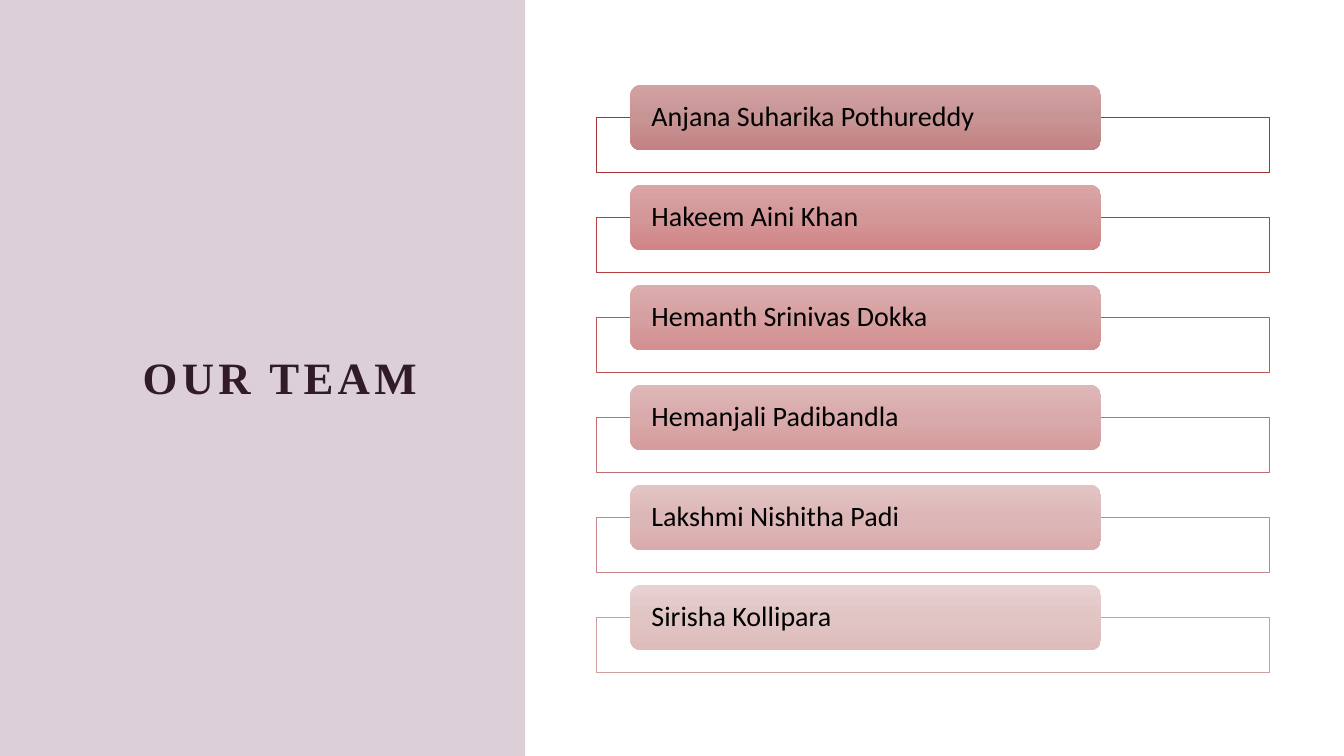
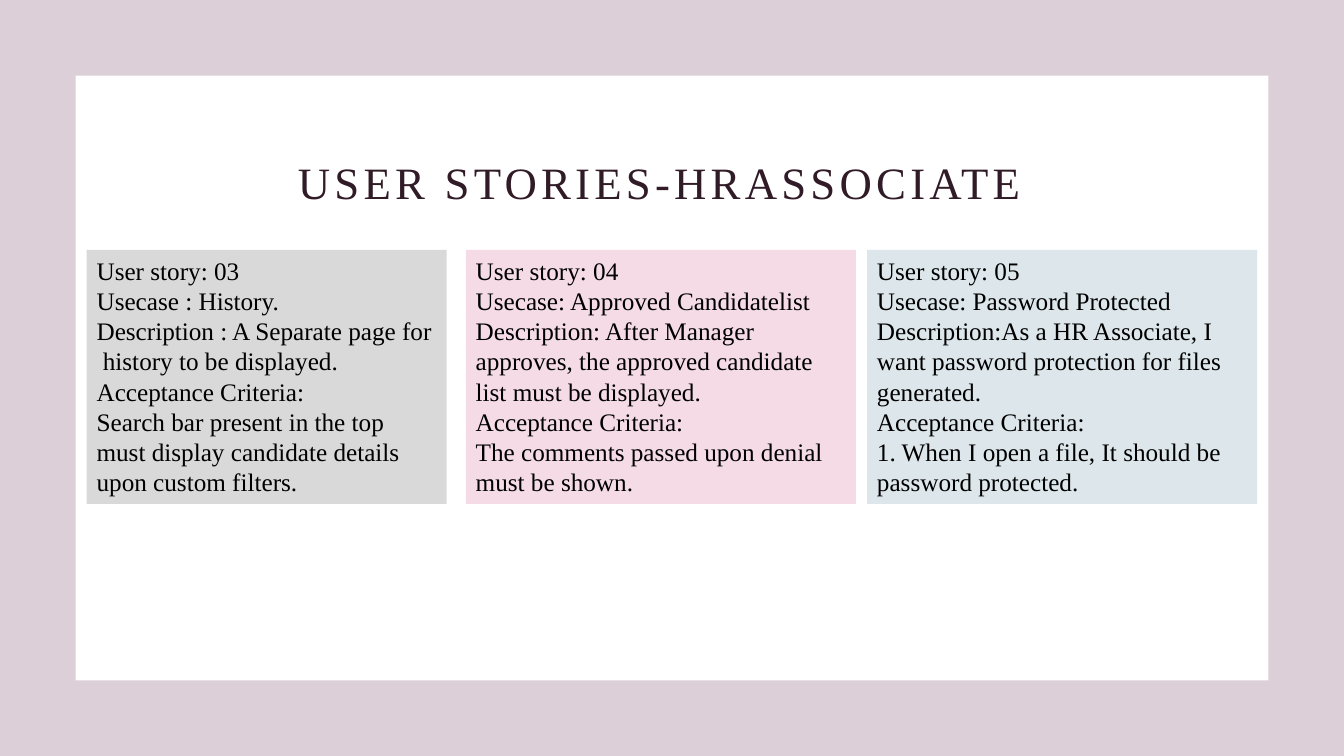
"""Build the team slide and the HR associate user stories slide."""
from copy import deepcopy
from dataclasses import dataclass

from lxml.etree import SubElement
from pptx import Presentation
from pptx.dml.color import RGBColor
from pptx.enum.shapes import MSO_SHAPE
from pptx.enum.text import MSO_ANCHOR, PP_ALIGN
from pptx.oxml.ns import qn
from pptx.util import Inches, Pt

TEAM_TITLE = "OUR TEAM"
TEAM = [
    ("Anjana Suharika Pothureddy", "A33336", ("D2A1A2", "C89595", "C38182")),
    ("Hakeem Aini Khan", "B63E42", ("DAA5A6", "D39798", "D18485")),
    ("Hemanth Srinivas Dokka", "BE5456", ("DCADAE", "D6A0A0", "D38E90")),
    ("Hemanjali Padibandla", "C26D6F", ("DFB7B8", "D9AAAB", "D69C9D")),
    ("Lakshmi Nishitha Padi", "C88587", ("E3C4C4", "DDB7B8", "DAABAC")),
    ("Sirisha Kollipara", "CE9D9D", ("E8D1D1", "E1C5C5", "DFBCBC")),
]
STORIES_TITLE = "USER STORIES-HRASSOCIATE"
STORIES = [
    (0.86, 3.57, "D9D9D9",
     ["User story: 03", "Usecase : History.",
      "Description : A Separate page for  history to be displayed.",
      "Acceptance Criteria:"],
     "Search bar present in the top must display candidate details upon custom filters."),
    (4.62, 3.87, "F4DBE6",
     ["User story: 04", "Usecase: Approved Candidatelist",
      "Description: After Manager approves, the approved candidate list must be displayed.",
      "Acceptance Criteria:"],
     "The comments passed upon denial must be shown."),
    (8.6, 3.87, "DDE7EB",
     ["User story: 05", "Usecase: Password Protected",
      "Description:As a HR Associate, I want password protection for files generated.",
      "Acceptance Criteria:"],
     "1. When I open a file, It should be password protected."),
]


@dataclass(frozen=True)
class Theme:
    width: float = 13.33
    height: float = 7.5
    margin: float = 0.75
    band: str = "764260"
    band_opacity: int = 25
    paper: str = "FFFFFF"
    title: str = "301B27"
    ink: str = "000000"
    serif: str = "Times New Roman"
    sans: str = "Calibri"
    title_size: int = 32
    name_size: int = 20
    story_size: int = 18
    title_tracking: int = 3


THEME = Theme()
FIRST_TOP, LAST_TOP = 0.84, 5.8
STORY_TOP, STORY_HEIGHT = 2.48, 2.52


def rgb(value):
    return RGBColor.from_string(value)


def add_box(slide, box, fill=None, opacity=100, line=None, preset=MSO_SHAPE.RECTANGLE):
    shape = slide.shapes.add_shape(preset, *map(Inches, box))
    shape.shadow.inherit = False
    if fill:
        shape.fill.solid()
        shape.fill.fore_color.rgb = rgb(fill)
        if opacity < 100:
            tint = shape.fill._xPr.find(".//" + qn("a:srgbClr"))
            SubElement(tint, qn("a:alpha")).set("val", str(opacity * 1000))
    if line:
        shape.line.color.rgb = rgb(line)
        shape.line.width = Pt(0.5)
    else:
        shape.line.fill.background()
    return shape


def add_band(slide, width):
    add_box(slide, (0, 0, width, THEME.height), THEME.band, THEME.band_opacity)


def write(shape, paragraphs, font, size, color, align=PP_ALIGN.LEFT,
          anchor=MSO_ANCHOR.TOP, spacing=1.0, bold=False, tracking=0):
    frame = shape.text_frame
    frame.word_wrap = True
    frame.vertical_anchor = anchor
    for index, words in enumerate(paragraphs):
        paragraph = frame.add_paragraph() if index else frame.paragraphs[0]
        paragraph.text = words
        paragraph.alignment = align
        paragraph.line_spacing = spacing
        for run in paragraph.runs:
            run.font.name = font
            run.font.size = Pt(size)
            run.font.bold = bold
            run.font.color.rgb = rgb(color)
            if tracking:
                run.font._element.set("spc", str(tracking * 100))


def add_title(slide, words, box, anchor, bold=False):
    title = slide.shapes.add_textbox(*map(Inches, box))
    write(title, [words], THEME.serif, THEME.title_size, THEME.title,
          PP_ALIGN.CENTER, anchor, 0.9, bold, THEME.title_tracking)


def shade(shape, colors):
    shape.fill.gradient()
    shape.fill.gradient_angle = 270
    stops = shape.fill._xPr.find(".//" + qn("a:gsLst"))
    stops.insert(1, deepcopy(stops[0]))
    stops[1].set("pos", "50000")
    for stop, color in zip(shape.fill.gradient_stops, colors):
        stop.color.rgb = rgb(color)


def build_team(slide):
    add_band(slide, 5.21)
    add_title(slide, TEAM_TITLE, (0.92, 0.77, 3.71, 6), MSO_ANCHOR.MIDDLE, bold=True)
    pitch = (LAST_TOP - FIRST_TOP) / (len(TEAM) - 1)
    for row, (member, outline, shades) in enumerate(TEAM):
        top = FIRST_TOP + row * pitch
        add_box(slide, (5.92, top + 0.32, 6.67, 0.55), THEME.paper, 90, outline)
        plate = add_box(slide, (6.25, top, 4.67, 0.65),
                        preset=MSO_SHAPE.ROUNDED_RECTANGLE)
        shade(plate, shades)
        write(plate, [member], THEME.sans, THEME.name_size, THEME.ink,
              anchor=MSO_ANCHOR.MIDDLE, spacing=0.9)
        frame = plate.text_frame
        frame.margin_left = frame.margin_right = Inches(0.18)
        frame.margin_top = frame.margin_bottom = 0


def build_stories(slide):
    add_band(slide, THEME.width)
    add_box(slide, (THEME.margin, THEME.margin, THEME.width - 2 * THEME.margin,
                    THEME.height - 2 * THEME.margin), THEME.paper)
    add_title(slide, STORIES_TITLE, (1.35, 1.03, 10.38, 1.09), MSO_ANCHOR.BOTTOM)
    for left, width, tint, summary, criterion in STORIES:
        card = add_box(slide, (left, STORY_TOP, width, STORY_HEIGHT), tint)
        write(card, ["\n".join(summary), criterion],
              THEME.serif, THEME.story_size, THEME.ink)


def main():
    deck = Presentation()
    deck.slide_width, deck.slide_height = Inches(THEME.width), Inches(THEME.height)
    for build in (build_team, build_stories):
        build(deck.slides.add_slide(deck.slide_layouts[6]))
    deck.save("out.pptx")


if __name__ == "__main__":
    main()
